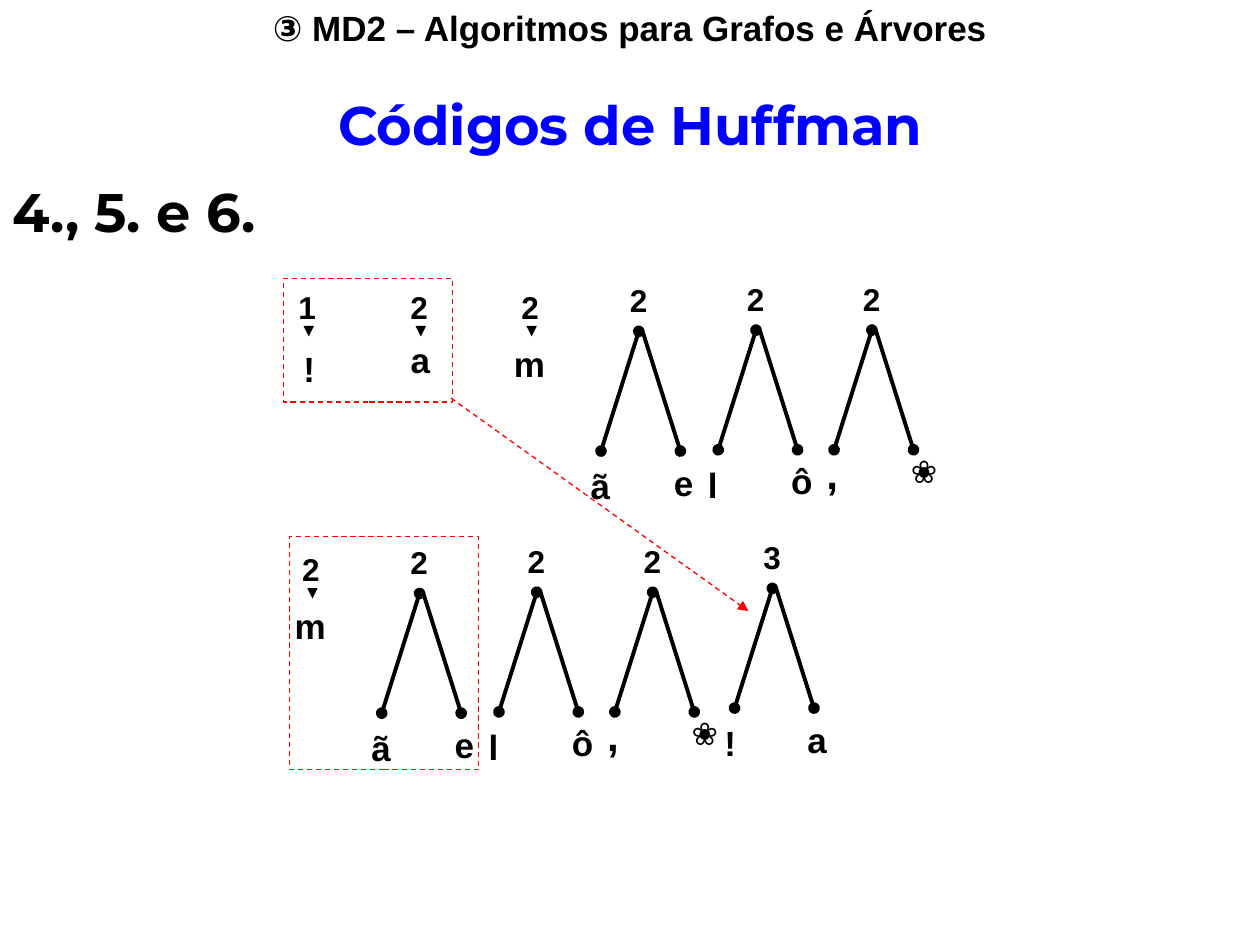
from dataclasses import dataclass
from typing import Any

from lxml.etree import SubElement
from pptx import Presentation
from pptx.dml.color import RGBColor
from pptx.enum.dml import MSO_LINE
from pptx.enum.shapes import MSO_CONNECTOR, MSO_SHAPE
from pptx.enum.text import MSO_ANCHOR, MSO_AUTO_SIZE, PP_ALIGN
from pptx.oxml.ns import qn
from pptx.util import Inches, Pt

COLORS = {"ink": "000000", "title": "0000FF", "mark": "FF0000"}
LABEL_HEIGHTS = {18: 0.4, 20: 0.44, 24: 0.5}
NEXT_ROW_X, NEXT_ROW_Y = -1.74, 2.08


@dataclass(frozen=True)
class Label:
    text: str
    left: float
    top: float
    width: float
    size: int = 20
    wrap: bool = False


@dataclass(frozen=True)
class Leaf:
    x: float
    y: float
    weight: str
    letter: Label


@dataclass(frozen=True)
class Tree:
    x: float
    y: float
    weight: str
    left: Label
    right: Label


def left_label(text: str) -> Label:
    return Label(text, -0.48, 1.01, 0.37, wrap=True)


def right_label(text: str, width: float) -> Label:
    return Label(text, 0.18, 0.98, width)


def color(name: str) -> RGBColor:
    return RGBColor.from_string(COLORS[name])


def style(paragraph: Any, font_name: str, size: float, color_name: str = "ink") -> None:
    paragraph.font.name = font_name
    paragraph.font.size = Pt(size)
    paragraph.font.bold = True
    paragraph.font.color.rgb = color(color_name)


def place(box: Any, left: float, top: float, width: float, height: float) -> None:
    box.left, box.top = Inches(left), Inches(top)
    box.width, box.height = Inches(width), Inches(height)
    box.text_frame.vertical_anchor = MSO_ANCHOR.TOP
    box.text_frame.auto_size = MSO_AUTO_SIZE.SHAPE_TO_FIT_TEXT


def draw_label(shapes: Any, label: Label, x: float, y: float) -> None:
    height = LABEL_HEIGHTS[label.size]
    box = shapes.add_textbox(Inches(x + label.left), Inches(y + label.top),
                             Inches(label.width), Inches(height))
    frame = box.text_frame
    frame.word_wrap = label.wrap
    frame.auto_size = MSO_AUTO_SIZE.SHAPE_TO_FIT_TEXT
    frame.text = label.text
    style(frame.paragraphs[0], "Arial", label.size)


def draw_line(shapes: Any, start: tuple[float, float], end: tuple[float, float],
              width: float, tail: str, head: str = "none",
              color_name: str = "ink", dashed: bool = False) -> None:
    connector = shapes.add_connector(MSO_CONNECTOR.STRAIGHT, Inches(start[0]), Inches(start[1]),
                                     Inches(end[0]), Inches(end[1]))
    connector.line.color.rgb = color(color_name)
    connector.line.width = Pt(width)
    if dashed:
        connector.line.dash_style = MSO_LINE.DASH
    properties = connector._element.spPr
    outline = properties.find(qn("a:ln"))
    SubElement(outline, qn("a:headEnd"), type=head)
    SubElement(outline, qn("a:tailEnd"), type=tail)
    SubElement(properties, qn("a:effectLst"))


def draw_leaf(shapes: Any, leaf: Leaf, shift_x: float = 0, shift_y: float = 0) -> None:
    x, y = leaf.x + shift_x, leaf.y + shift_y
    draw_line(shapes, (x, y), (x, y + 0.04), 0.75, "triangle")
    draw_label(shapes, Label(leaf.weight, -0.18, -0.39, 0.34, 18), x, y)
    draw_label(shapes, leaf.letter, x, y)


def draw_tree(shapes: Any, tree: Tree, shift_x: float = 0, shift_y: float = 0) -> None:
    x, y = tree.x + shift_x, tree.y + shift_y
    group = shapes.add_group_shape().shapes
    draw_line(group, (x, y), (x - 0.3, y + 0.95), 2.25, "oval", "oval")
    draw_line(group, (x + 0.03, y), (x + 0.33, y + 0.95), 2.25, "oval")
    draw_label(group, Label(tree.weight, -0.17, -0.45, 0.34, 18), x, y)
    draw_label(group, tree.left, x, y)
    draw_label(group, tree.right, x, y)


def draw_frame(shapes: Any, left: float, top: float, width: float, height: float) -> None:
    frame = shapes.add_shape(MSO_SHAPE.RECTANGLE, Inches(left), Inches(top),
                             Inches(width), Inches(height))
    frame.shadow.inherit = False
    frame.fill.background()
    frame.line.color.rgb = color("mark")
    frame.line.width = Pt(0.75)
    frame.line.dash_style = MSO_LINE.DASH


def fill_headings(page: Any) -> None:
    header = page.shapes.title
    place(header, 0, 0, 10, 0.44)
    header.text_frame.text = "③ MD2 – Algoritmos para Grafos e Árvores"
    header.text_frame.paragraphs[0].alignment = PP_ALIGN.CENTER
    style(header.text_frame.paragraphs[0], "Arial", 20)

    body = page.placeholders[1]
    place(body, 0, 0.73, 10, 1.25)
    body.text_frame.text = "Códigos de Huffman\n4., 5. e 6."
    title, steps = body.text_frame.paragraphs
    for paragraph in (title, steps):
        properties = paragraph._p.get_or_add_pPr()
        properties.set("marL", "0")
        properties.set("indent", "0")
        SubElement(properties, qn("a:buNone"))
    title.alignment = PP_ALIGN.CENTER
    title.line_spacing, title.space_before = 0.9, Pt(0)
    steps.line_spacing, steps.space_before = 0.8, Pt(19.4)
    style(title, "Montserrat", 31, "title")
    style(steps, "Montserrat", 31)


def main() -> None:
    deck = Presentation()
    deck.slide_width, deck.slide_height = Inches(10), Inches(7.5)
    page = deck.slides.add_slide(deck.slide_layouts[1])
    fill_headings(page)
    shapes = page.shapes

    merged_leaves = [
        Leaf(2.45, 2.63, "1", Label("!", -0.14, 0.08, 0.29)),
        Leaf(3.34, 2.63, "2", Label("a", -0.18, 0.01, 0.35)),
    ]
    kept_leaf = Leaf(4.22, 2.63, "2", Label("m", -0.24, 0.04, 0.45))
    kept_trees = [
        Tree(5.07, 2.63, "2", left_label("ã"), right_label("e", 0.35)),
        Tree(6, 2.62, "2", left_label("l"), right_label("ô", 0.37)),
        Tree(6.92, 2.62, "2", Label(",", -0.46, 0.88, 0.37, 24, True),
             Label("❀", 0.21, 0.92, 0.29, 18)),
    ]
    merged_tree = Tree(6.13, 4.67, "3", left_label("!"), right_label("a", 0.35))

    for leaf in merged_leaves:
        draw_leaf(shapes, leaf)
    for shift_x, shift_y in ((0, 0), (NEXT_ROW_X, NEXT_ROW_Y)):
        draw_leaf(shapes, kept_leaf, shift_x, shift_y)
        for tree in kept_trees:
            draw_tree(shapes, tree, shift_x, shift_y)
    draw_tree(shapes, merged_tree)

    draw_frame(shapes, 2.25, 2.21, 1.34, 0.98)
    draw_frame(shapes, 2.3, 4.26, 1.5, 1.85)
    draw_line(shapes, (3.58, 3.16), (5.94, 4.85), 0.75, "triangle",
              color_name="mark", dashed=True)
    deck.save("out.pptx")


if __name__ == "__main__":
    main()
